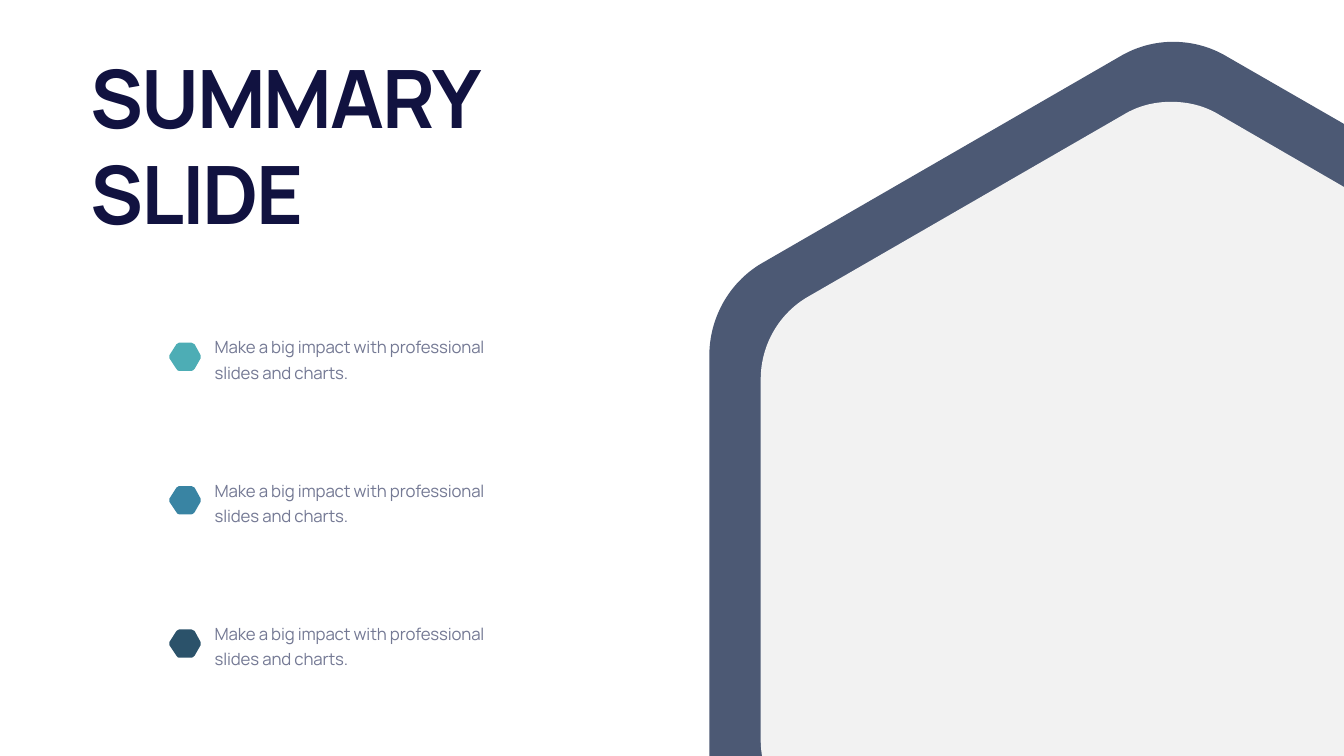
from lxml import etree
from pptx import Presentation
from pptx.dml.color import RGBColor
from pptx.enum.text import MSO_ANCHOR, MSO_AUTO_SIZE, PP_ALIGN
from pptx.oxml.ns import qn
from pptx.util import Inches, Pt

BOTTOM, TOP = MSO_ANCHOR.BOTTOM, MSO_ANCHOR.TOP
LEFT = PP_ALIGN.LEFT
GROW = MSO_AUTO_SIZE.SHAPE_TO_FIT_TEXT
TITLE_ONLY = 5

TITLE = "SUMMARY SLIDE"
TITLE_BOX = (1.69, 0.86, 9.66, 3.97)
TITLE_FORMAT = {"size": Pt(115), "name": "Manrope", "bold": True}
ITEM_FORMAT = {"size": Pt(24), "name": "Manrope", "bold": False}
ITEM_TEXT = "Make a big impact with professional slides and charts."
ITEMS = [(ITEM_TEXT, "4DADB5"), (ITEM_TEXT, "3984A3"), (ITEM_TEXT, "2B526A")]
ITEM_LEFT, ITEM_TOP, ITEM_WIDTH, ITEM_HEIGHT = 4.16, 6.54, 5.58, 1.08
MARKER_LEFT, MARKER_TOP = 3.36, 6.8
ITEM_PITCH = (12.23 - ITEM_TOP) / 2

# An outline step is a line end (x, y) or a Bezier curve (x1, y1, x2, y2, x, y).
PANELS = [
    ("4C5974", [
        (23.27, 0.83), (23.65, 0.83, 24.02, 0.93, 24.35, 1.13),
        (26.66, 2.46), (26.66, 15), (14.07, 15), (14.07, 7.06),
        (14.07, 6.28, 14.49, 5.56, 15.17, 5.19),
        (22.2, 1.13), (22.53, 0.93, 22.9, 0.83, 23.27, 0.83)]),
    ("F2F2F2", [
        (23.23, 2.02), (23.57, 2.02, 23.9, 2.1, 24.19, 2.28),
        (26.66, 3.71), (26.66, 15), (15.12, 15), (15.11, 14.96),
        (15.1, 14.88, 15.09, 14.8, 15.09, 14.71),
        (15.09, 7.52), (15.09, 6.84, 15.46, 6.2, 16.06, 5.87),
        (22.28, 2.28), (22.57, 2.1, 22.9, 2.02, 23.23, 2.02)]),
]
MARKER = [
    (0.62, 0.31), (0.5, 0.52), (0.48, 0.54, 0.46, 0.56, 0.44, 0.56),
    (0.19, 0.56), (0.17, 0.56, 0.15, 0.54, 0.14, 0.52),
    (0, 0.31), (0, 0.29, 0, 0.27, 0, 0.25),
    (0.14, 0.03), (0.15, 0.01, 0.17, 0, 0.19, 0),
    (0.44, 0), (0.46, 0, 0.48, 0.01, 0.5, 0.03),
    (0.62, 0.25), (0.62, 0.27, 0.62, 0.29, 0.62, 0.31),
]


def color(value):
    """Turn a hex string into a colour."""
    return RGBColor.from_string(value)


def add_outline(slide, steps, fill, left=0, top=0):
    """Draw a filled outline of lines and curves, moved by left and top."""
    steps = [[(Inches(left + x), Inches(top + y))
              for x, y in zip(step[::2], step[1::2])] for step in steps]
    ends = [step[-1] for step in steps]
    builder = slide.shapes.build_freeform(*ends[0])
    builder.add_line_segments(ends[1:], close=True)
    shape = builder.convert_to_shape()
    segments = list(shape._element.iter(qn("a:lnTo")))
    for segment, points in zip(segments, steps[1:]):
        if len(points) == 3:
            curve = etree.Element(qn("a:cubicBezTo"))
            for x, y in points:
                etree.SubElement(curve, qn("a:pt"),
                                 x=str(x - shape.left), y=str(y - shape.top))
            segment.getparent().replace(segment, curve)
    shape.shadow.inherit = False
    shape.fill.solid()
    shape.fill.fore_color.rgb = color(fill)
    shape.line.fill.background()


def write_text(shape, text, formats, fill, spacing, anchor):
    """Fill a shape with one left-aligned paragraph and return it."""
    frame = shape.text_frame
    frame.word_wrap = True
    frame.auto_size = GROW
    frame.vertical_anchor = anchor
    paragraph = frame.paragraphs[0]
    paragraph.alignment = LEFT
    run = paragraph.add_run()
    run.text = text
    for name, value in formats.items():
        setattr(run.font, name, value)
    run.font.color.rgb = color(fill)
    run._r.get_or_add_rPr().set("spc", str(round(spacing * 100)))
    return paragraph


presentation = Presentation()
presentation.slide_width = Inches(26.66)
presentation.slide_height = Inches(15)
slide = presentation.slides.add_slide(presentation.slide_layouts[TITLE_ONLY])

title = slide.shapes.title
title.left, title.top, title.width, title.height = map(Inches, TITLE_BOX)
write_text(title, TITLE, TITLE_FORMAT, "111240", -2.9, BOTTOM)

for panel_fill, panel_steps in PANELS:
    add_outline(slide, panel_steps, panel_fill)

for row, (item_text, marker_fill) in enumerate(ITEMS):
    offset = row * ITEM_PITCH
    box = slide.shapes.add_textbox(
        Inches(ITEM_LEFT), Inches(ITEM_TOP + offset),
        Inches(ITEM_WIDTH), Inches(ITEM_HEIGHT))
    item = write_text(box, item_text, ITEM_FORMAT, "747994", -0.2, TOP)
    item.line_spacing = Pt(36)
    add_outline(slide, MARKER, marker_fill, MARKER_LEFT, MARKER_TOP + offset)

presentation.save("out.pptx")
